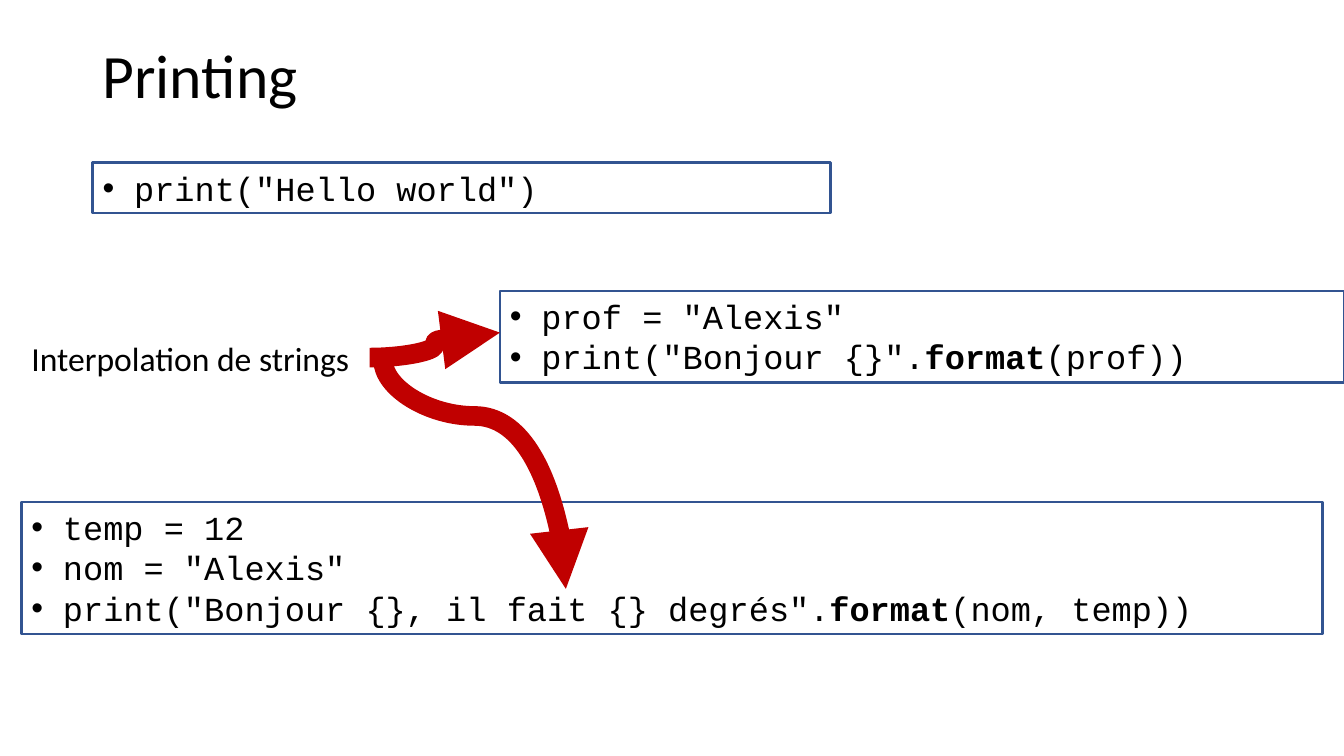
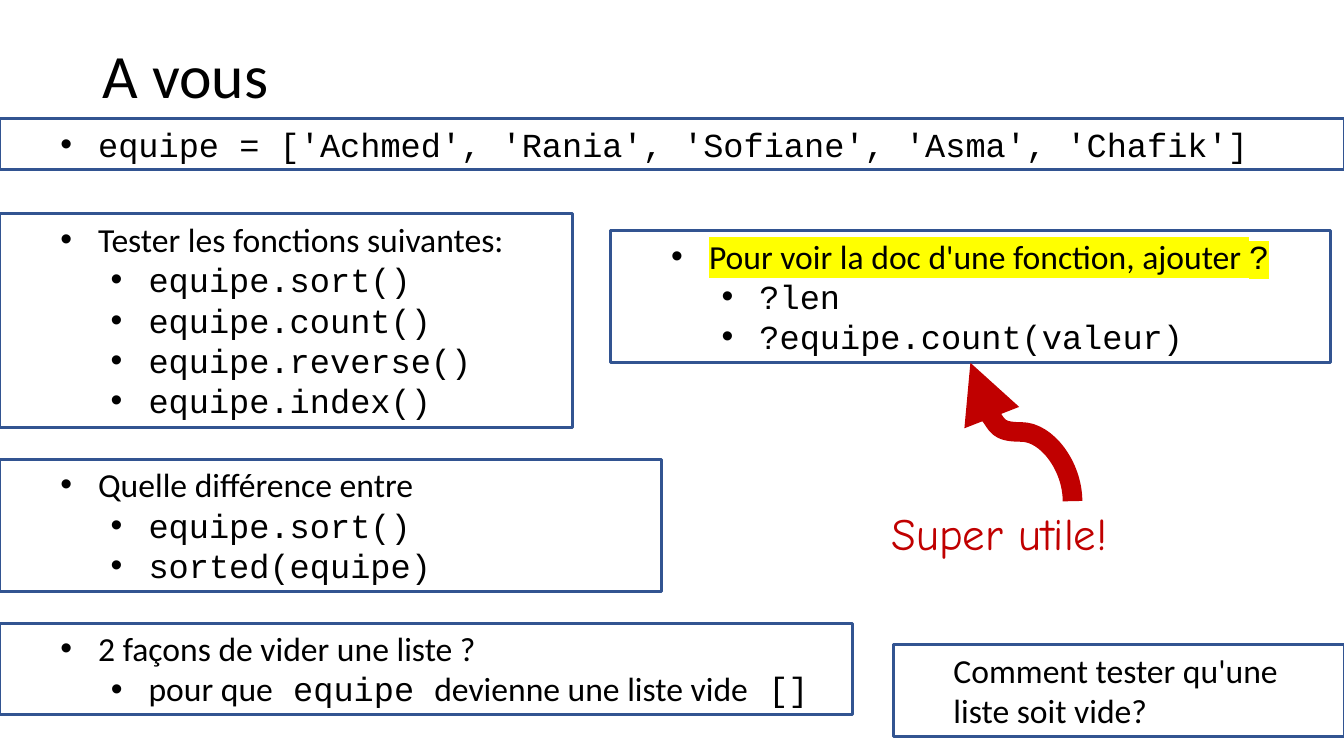
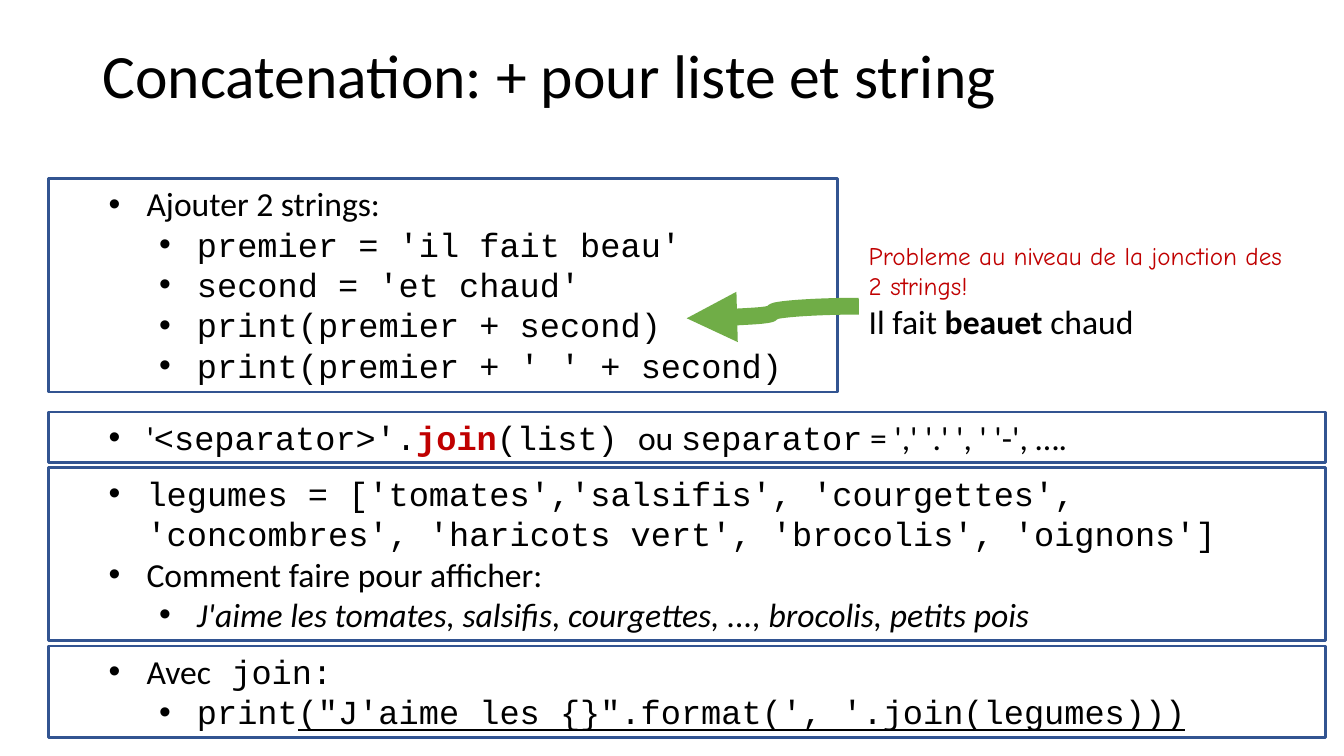
from lxml import etree
from pptx import Presentation
from pptx import util as u
from pptx.dml.color import RGBColor
from pptx.enum import shapes, text
from pptx.oxml.ns import qn

BLACK = RGBColor(0x00, 0x00, 0x00)
BLUE = RGBColor(0x32, 0x54, 0x91)
RED = RGBColor(0xC0, 0x00, 0x00)
GREEN = RGBColor(0x70, 0xAD, 0x47)

WIDTH, HEIGHT = u.Inches(13.33), u.Inches(7.5)
EDGE, LINE = 1.3, 5.39

BASE = {"size": u.Pt(24), "name": "Calibri", "tint": BLACK}
HEAD = {"size": u.Pt(44)}
CODE = {"name": "Courier New"}
BOLD = {**CODE, "bold": True}
HAND = {"name": "Comic Neue", "tint": RED}

PLAIN = (0, 0, 0, False)
DOT = (0, 22.5, -22.5, True)
PAD = (1, 36, 0, False)
TOP = (1, 63, -27, True)
SUB = (2, 99, -27, True)


def code(kind, *lines):
    return [(kind, [(line, CODE)]) for line in lines]


def plain(kind, line, **form):
    return (kind, [(line, form)])


class Deck:
    def __init__(self):
        self.file = Presentation()
        self.file.slide_width, self.file.slide_height = WIDTH, HEIGHT
        self.page = None

    def spot(self, x, y):
        return int(WIDTH * x / 100), int(HEIGHT * y / 100)

    def start(self, title, tall=10.4):
        self.page = self.file.slides.add_slide(self.file.slide_layouts[6]).shapes
        frame = self.note(6.9, 5.3, 86.2, tall, [plain(PLAIN, title, **HEAD)], grow=False)
        frame.paragraphs[0].line_spacing = 0.9

    def add_run(self, para, words, form):
        run = para.add_run()
        run.text = words
        font = run.font
        form = {**BASE, **form}
        font.color.rgb = form.pop("tint")
        mark = form.pop("mark", None)
        for key, value in form.items():
            setattr(font, key, value)
        if mark:
            fill = font._element.find(qn("a:solidFill"))
            light = etree.Element(qn("a:highlight"))
            etree.SubElement(light, qn("a:srgbClr"), val=mark)
            fill.addnext(light)

    def put(self, frame, paras, grow=True, wrap=True):
        look = {
            "word_wrap": wrap,
            "vertical_anchor": text.MSO_ANCHOR.TOP,
            "auto_size": text.MSO_AUTO_SIZE.SHAPE_TO_FIT_TEXT if grow else text.MSO_AUTO_SIZE.NONE,
        }
        for key, value in look.items():
            setattr(frame, key, value)
        for rank, ((level, left, hang, dot), runs) in enumerate(paras):
            para = frame.add_paragraph() if rank else frame.paragraphs[0]
            para.alignment = text.PP_ALIGN.LEFT
            para.level = level
            props = para._p.get_or_add_pPr()
            props.set("marL", str(u.Pt(left)))
            props.set("indent", str(u.Pt(hang)))
            if dot:
                etree.SubElement(props, qn("a:buFont"), typeface="Arial")
                etree.SubElement(props, qn("a:buChar"), char="•")
            for words, form in runs:
                self.add_run(para, words, form)

    def note(self, x, y, wide, tall, paras, **form):
        frame = self.page.add_textbox(*self.spot(x, y), *self.spot(wide, tall)).text_frame
        self.put(frame, paras, **form)
        return frame

    def box(self, x, y, wide, paras, extra=0):
        tall = EDGE + LINE * (len(paras) + extra)
        shape = self.page.add_shape(
            shapes.MSO_SHAPE.RECTANGLE, *self.spot(x, y), *self.spot(wide, tall))
        shape.shadow.inherit = False
        shape.fill.background()
        shape.line.color.rgb = BLUE
        shape.line.width = u.Pt(2)
        self.put(shape.text_frame, paras)
        return y + tall

    def stack(self, x, y, gap, items):
        for wide, paras, extra in items:
            y = self.box(x, y, wide, paras, extra) + gap

    def arrow(self, start, end, tint=RED, weight=14, turn=False, bend=None):
        (ax, ay), (bx, by) = self.spot(*start), self.spot(*end)
        if turn:
            mx, my = (ax + bx) // 2, (ay + by) // 2
            ax, ay, bx, by = mx + my - ay, my + ax - mx, mx + my - by, my + bx - mx
        pin = self.page.add_connector(shapes.MSO_CONNECTOR.CURVE, ax, ay, bx, by)
        pin.line.color.rgb = tint
        pin.line.width = u.Pt(weight)
        props = pin._element.spPr
        if turn:
            props.find(qn("a:xfrm")).set("rot", str(270 * 60000))
        if bend:
            shape = props.find(qn("a:prstGeom"))
            for old in list(shape):
                shape.remove(old)
            guide = etree.SubElement(shape, qn("a:avLst"))
            etree.SubElement(guide, qn("a:gd"), name="adj1", fmla=f"val {bend}")
        etree.SubElement(props.find(qn("a:ln")), qn("a:tailEnd"), type="triangle")
        etree.SubElement(props, qn("a:effectLst"))


def printing(deck):
    deck.start("Printing", 19.3)
    deck.box(6.9, 21.5, 54.9, code(DOT, 'print("Hello world")'))
    deck.box(37.2, 38.5, 62.8, code(DOT, 'prof = "Alexis"') + [
        (DOT, [('print("Bonjour {}".', CODE), ("format", BOLD), ("(prof))", CODE)])])
    deck.box(1.6, 66.4, 96.8, code(DOT, "temp = 12", 'nom = "Alexis"') + [
        (DOT, [('print("Bonjour {}, il fait {} degrés".', CODE),
               ("format", BOLD), ("(nom, temp))", CODE)])])
    deck.note(1.6, 44, 26, 6.7, [plain(PLAIN, "Interpolation de strings")], wrap=False)
    deck.arrow((27.5, 47.3), (37.2, 44))
    deck.arrow((28.5, 47.6), (42.1, 77.9), turn=True, bend=24500)


def lists(deck):
    deck.start("A vous")
    deck.box(0, 15.7, 100, code(
        TOP, "equipe = ['Achmed', 'Rania', 'Sofiane', 'Asma', 'Chafik']"))
    deck.stack(0, 28.3, 4.2, [
        (42.6, [plain(TOP, "Tester les fonctions suivantes:")] + code(
            SUB, "equipe.sort()", "equipe.count()", "equipe.reverse()", "equipe.index()"), 0),
        (49.2, [plain(TOP, "Quelle différence entre")] + code(
            SUB, "equipe.sort()", "sorted(equipe)"), 0),
        (63.45, [plain(TOP, "2 façons de vider une liste ?"),
                 (SUB, [("pour que", {}), (" equipe ", CODE),
                        ("devienne une liste vide", {}), (" []", CODE)])], 0),
    ])
    mark = {"mark": "FFFF00"}
    deck.box(45.45, 30.5, 53.55, [
        (TOP, [("Pour voir la doc d'une fonction, ajouter ", mark), ("?", {**CODE, **mark})]),
    ] + code(SUB, "?len", "?equipe.count(valeur)"))
    deck.note(65.6, 66.3, 28.5, 8.5, [plain(PLAIN, "Super utile!", **HAND, size=u.Pt(32))])
    deck.arrow((79.8, 66.3), (72.2, 48), turn=True)
    deck.box(66.45, 85.3, 33.55, [plain(PAD, "Comment tester qu'une liste soit vide?")], 1)


def joining(deck):
    deck.start("Concatenation: + pour liste et string")
    deck.box(3.6, 23.6, 58.7, [plain(TOP, "Ajouter 2 strings:")] + code(
        SUB, "premier = 'il fait beau'", "second = 'et chaud'",
        "print(premier + second)", "print(premier + ' ' + second)"))
    deck.stack(3.6, 54.5, 0.7, [
        (95, [(TOP, [("'", {}), ("<separator>'.", CODE), ("join", {**BOLD, "tint": RED}),
                     ("(list) ", CODE), ("ou ", {}), ("separator", CODE),
                     (" = ',' '.' ', ' '-', ….", {})])], 0),
        (95, code(TOP, "legumes = ['tomates','salsifis', 'courgettes', "
                       "'concombres', 'haricots vert', 'brocolis', 'oignons']") + [
            plain(TOP, "Comment faire pour afficher:"),
            plain(SUB, "J'aime les tomates, salsifis, courgettes, ..., brocolis, petits pois",
                  italic=True)], 1),
        (95, [(TOP, [("Avec", {}), (" join:", CODE)]),
              (SUB, [("print", CODE), ("(\"J'aime les {}\".format(', '.join(legumes)))",
                                       {**CODE, "underline": True})])], 0),
    ])
    deck.note(63.9, 31.1, 33.15, 18.8, [
        plain(PLAIN, "Probleme au niveau de la jonction des 2 strings!", **HAND, size=u.Pt(18)),
        (PLAIN, [("Il fait ", {}), ("beauet", {"bold": True}), (" chaud", {})])])
    deck.arrow((63.9, 40.5), (51.1, 42.1), GREEN, 12)


def main():
    deck = Deck()
    for build in (printing, lists, joining):
        build(deck)
    deck.file.save("out.pptx")


if __name__ == "__main__":
    main()
